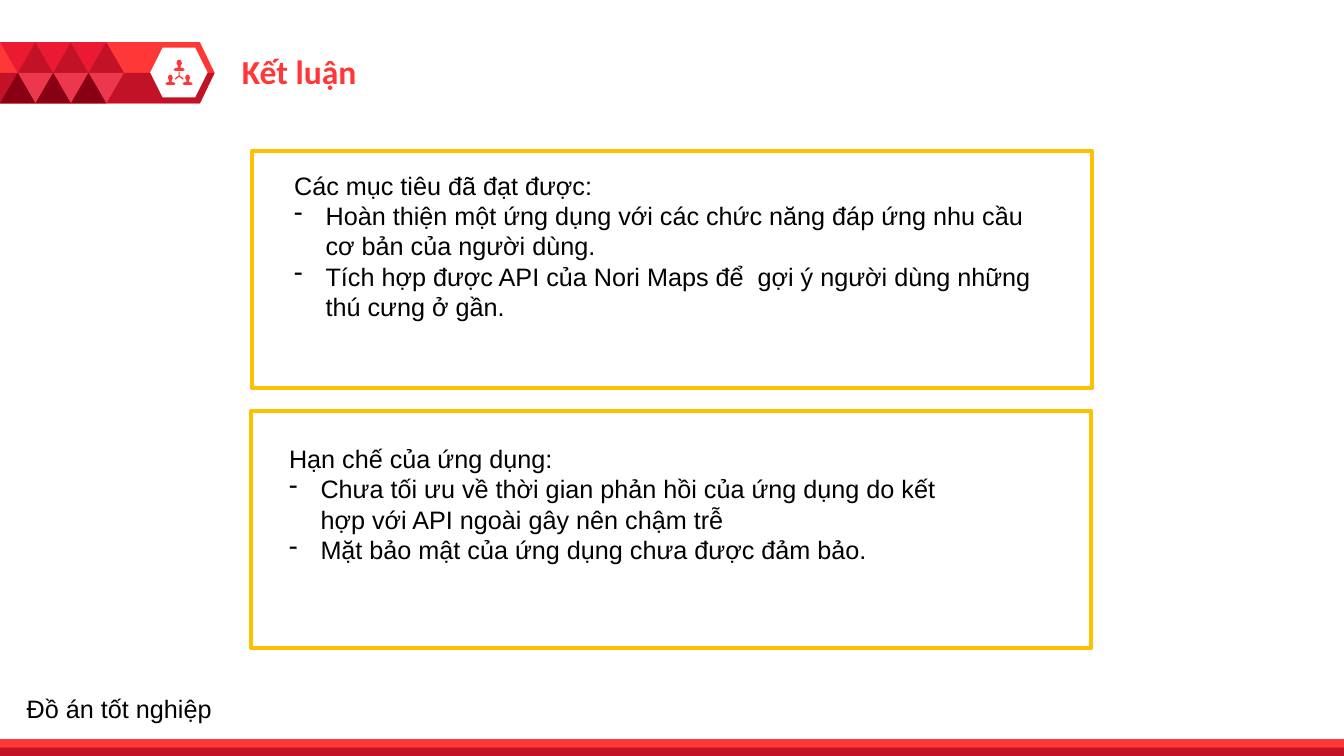
from lxml.etree import SubElement
from pptx import Presentation
from pptx.dml.color import RGBColor
from pptx.enum.shapes import MSO_SHAPE as Kind
from pptx.enum.text import MSO_ANCHOR as Anchor, MSO_AUTO_SIZE as Fit, PP_ALIGN as Align
from pptx.oxml.ns import qn
from pptx.util import Pt

# Content
TITLE = "Kết luận"
FOOT = "Đồ án tốt nghiệp"
CARDS = [  # frame left, top; text left, top, width, height; heading; points
    ((180, 108), (203, 118, 553.7, 138), "Các mục tiêu đã đạt được:", [
        "Hoàn thiện một ứng dụng với các chức năng đáp ứng nhu cầu cơ bản của người dùng.",
        "Tích hợp được API của Nori Maps để  gợi ý người dùng những thú cưng ở gần."]),
    ((179.3, 293.8), (199.4, 313.2, 501.8, 117), "Hạn chế của ứng dụng:", [
        "Chưa tối ưu về thời gian phản hồi của ứng dụng do kết hợp với API ngoài gây nên chậm trễ",
        "Mặt bảo mật của ứng dụng chưa được đảm bảo."]),
]

# Colours
RED = RGBColor(0xFF, 0x37, 0x37)
DARK = RGBColor(0xC2, 0x12, 0x27)
BRIGHT = RGBColor(0xEB, 0x19, 0x32)
ROSE = RGBColor(0xED, 0x37, 0x4D)
WINE = RGBColor(0x88, 0x00, 0x14)
GOLD = RGBColor(0xFF, 0xC0, 0x00)
WHITE = RGBColor(0xFF, 0xFF, 0xFF)
BLACK = RGBColor(0, 0, 0)

# Sizes in points
WIDE, HIGH = 960, 540
CARD = (600, 169)
TOP, HALF, BAND = 30.1, 21.9, 153.3
TRI = 25.3
INDENT = 22.5

# Icon outlines: one person (centre top at 0, 0), then the link between them
PERSON = [(0, 0), (1.2, 0.5), (1.7, 1.9), (1.8, 2.7), (1.4, 3.5), (0.9, 4.4),
          (1, 5.4), (2.6, 5.9), (3.5, 6.4), (3.8, 7.3), (2.4, 7.7)]
PERSON += [(-x, y) for x, y in reversed(PERSON[1:])]
PEOPLE = [(128, 42.6, 1.04), (121.7, 53.3, 0.95), (134, 53.3, 0.95)]
LINK = [(127.6, 51.1), (128.4, 51.1), (128.4, 54), (131.2, 56.2), (130.7, 56.9),
        (128, 54.8), (125.3, 56.9), (124.8, 56.2), (127.6, 54)]

deck = Presentation()
deck.slide_width, deck.slide_height = Pt(WIDE), Pt(HIGH)
slide = deck.slides.add_slide(deck.slide_layouts[5])
shapes = slide.shapes


def paint(shape, fill=None, line=None):
    shape.shadow.inherit = False
    if fill is None:
        shape.fill.background()
    else:
        shape.fill.solid()
        shape.fill.fore_color.rgb = fill
    if line is None:
        shape.line.fill.background()
    else:
        shape.line.color.rgb = line
        shape.line.width = Pt(3)
    return shape


def draw(kind, box, fill=None, line=None):
    return paint(shapes.add_shape(kind, *map(Pt, box)), fill, line)


def outline(loops, fill):
    loops = [[(round(x * 100), round(y * 100)) for x, y in loop] for loop in loops]
    pen = shapes.build_freeform(*loops[0][0], scale=Pt(0.01))
    for loop in loops:
        if loop is not loops[0]:
            pen.move_to(*loop[0])
        pen.add_line_segments(loop[1:], close=True)
    paint(pen.convert_to_shape(), fill)


def write(par, text, size=18, font="Arial", color=BLACK, bold=False):
    run = par.add_run()
    run.text = text
    run.font.size, run.font.name, run.font.bold = Pt(size), font, bold
    run.font.color.rgb = color


def textbox(box):
    frame = shapes.add_textbox(*map(Pt, box)).text_frame
    frame.word_wrap = True
    return frame


def dash(par):
    props = par._p.get_or_add_pPr()
    props.set("marL", str(Pt(INDENT)))
    props.set("indent", str(-Pt(INDENT)))
    tint = SubElement(props, qn("a:buClr"))
    SubElement(tint, qn("a:srgbClr")).set("val", str(BLACK))
    SubElement(props, qn("a:buFontTx"))
    SubElement(props, qn("a:buChar")).set("char", "-")


# Header band
mid, low = TOP + HALF, TOP + 2 * HALF
plate = draw(Kind.PENTAGON, (0, TOP, BAND, 2 * HALF), RED)
plate.adjustments[0] = 0.239
outline([[(0, mid), (BAND, mid), (BAND - 10.5, low), (0, low)]], DARK)

# Hexagon with the people icon
draw(Kind.HEXAGON, (107.3, 34.1, 41, 35.4), WHITE)
people = [[(left + x * size, top + y * size) for x, y in PERSON]
          for left, top, size in PEOPLE]
outline(people + [LINK], RED)

# Triangle pattern: column shift, row top, turn, colour
TILES = [(0, TOP, 180, BRIGHT), (0.5, TOP, 0, DARK),
         (0.5, mid, 180, ROSE), (0, mid, 0, WINE)]
for col in range(3):
    for shift, top, turn, color in TILES:
        tile = draw(Kind.ISOSCELES_TRIANGLE,
                    ((col + shift) * TRI, top, TRI, HALF), color)
        tile.rotation = turn

# Bottom bars
draw(Kind.RECTANGLE, (0, 528, WIDE, 12), RED)
draw(Kind.RECTANGLE, (0, 534, WIDE, 6), DARK)

# Title
title = shapes.title
title.left, title.top, title.width, title.height = map(Pt, (165.6, 32.7, 304, 36.4))
frame = title.text_frame
frame.auto_size, frame.vertical_anchor = Fit.NONE, Anchor.TOP
frame.paragraphs[0].alignment = Align.LEFT
write(frame.paragraphs[0], TITLE, 24, "Calibri", RED, True)

# Cards
for corner, box, head, points in CARDS:
    draw(Kind.RECTANGLE, corner + CARD, line=GOLD)
    frame = textbox(box)
    write(frame.paragraphs[0], head)
    for point in points:
        par = frame.add_paragraph()
        dash(par)
        write(par, point)

# Footer
write(textbox((12, 491.8, 204, 29)).paragraphs[0], FOOT)

deck.save("out.pptx")
